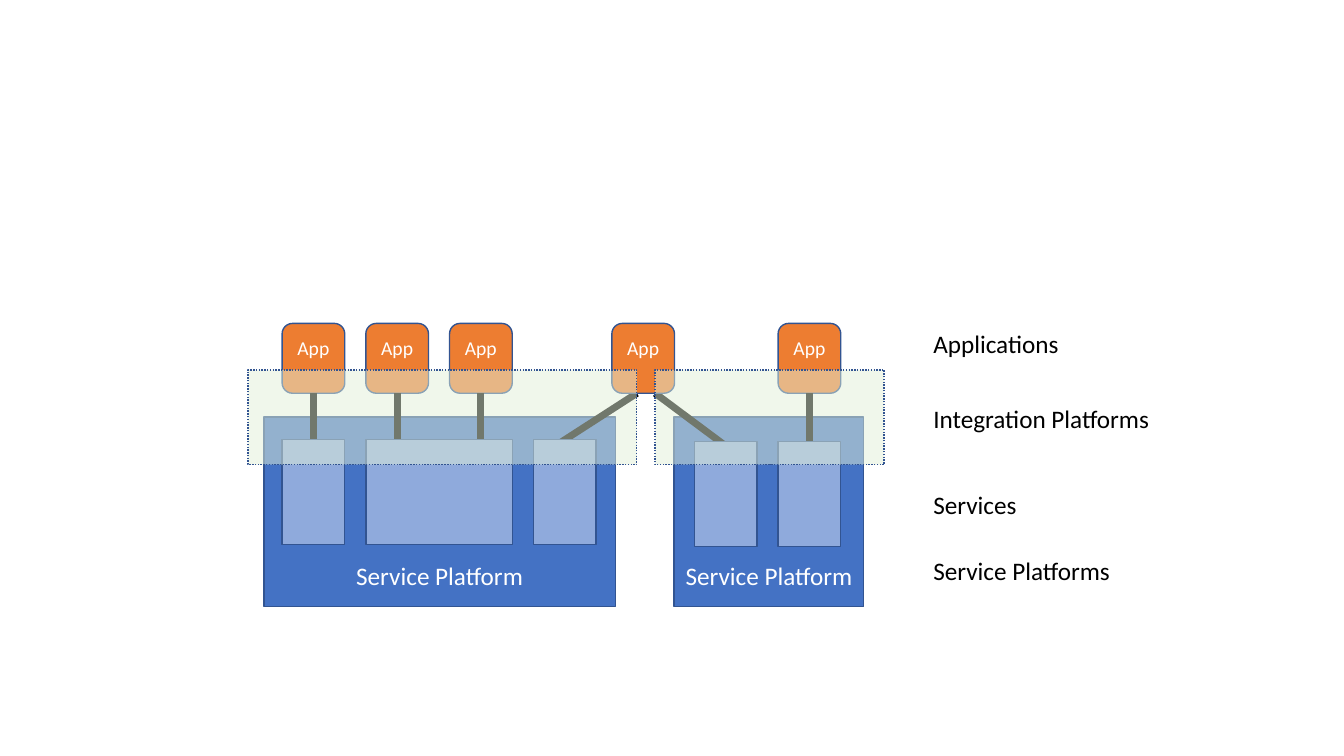
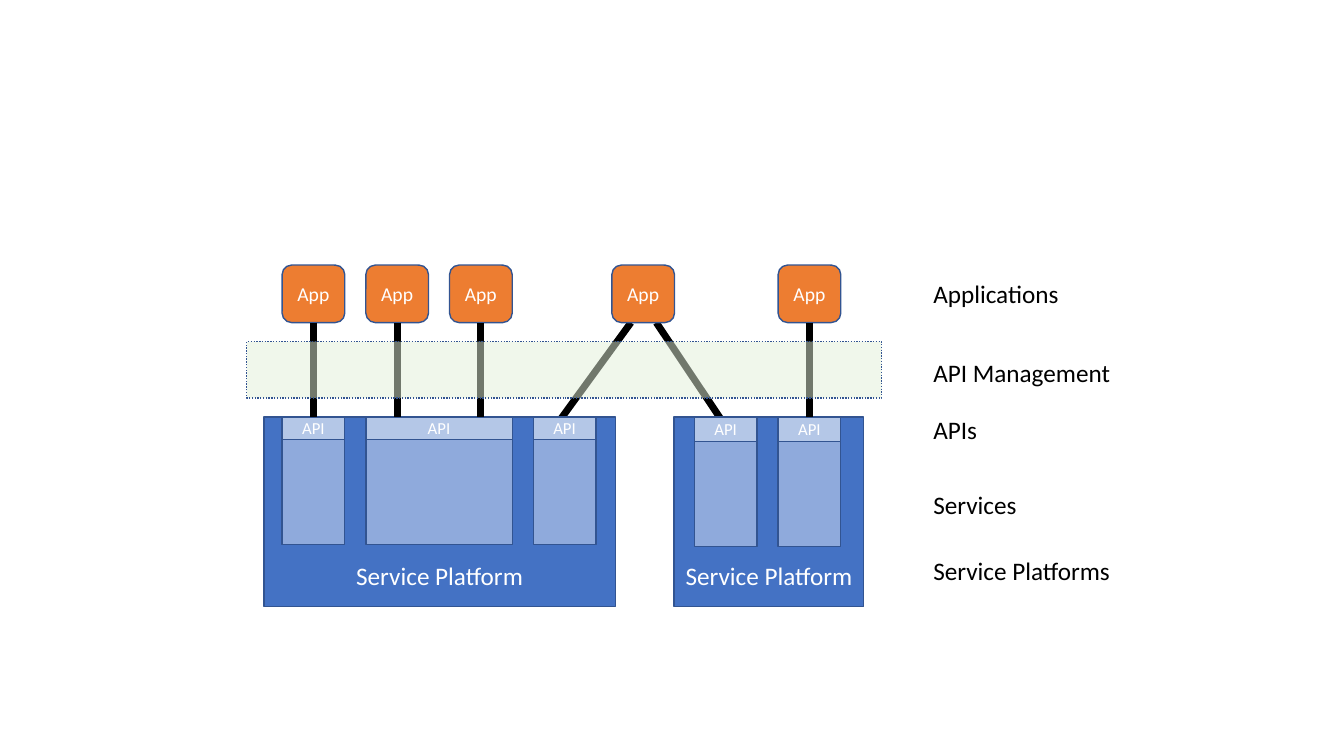
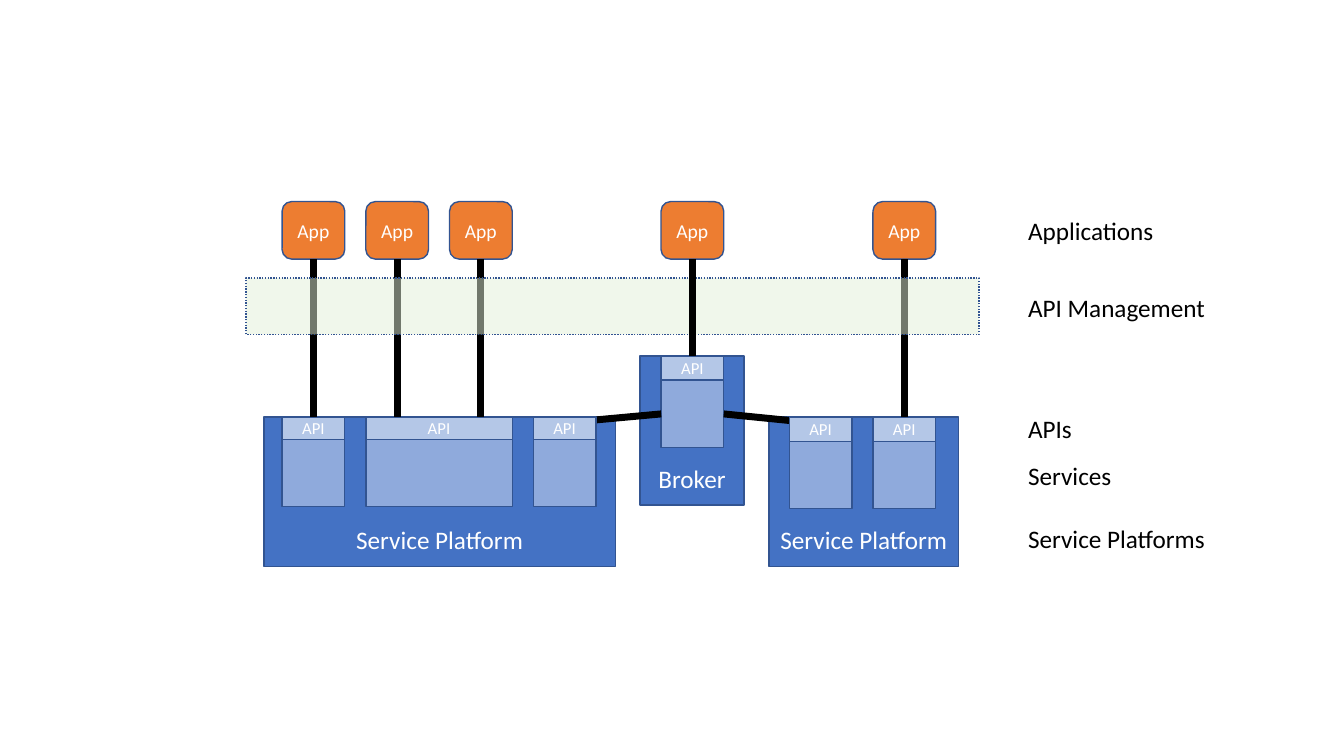
import dataclasses

import lxml.etree
import pptx
import pptx.dml.color
import pptx.enum.dml
import pptx.enum.shapes
import pptx.enum.text
import pptx.oxml.ns
import pptx.util

Cm = pptx.util.Cm
Pt = pptx.util.Pt
SHAPES = pptx.enum.shapes.MSO_SHAPE
ANCHOR = pptx.enum.text.MSO_ANCHOR
ALIGN = pptx.enum.text.PP_ALIGN
qn = pptx.oxml.ns.qn

FONT = "Calibri"
COLOURS = {
    "platform": "4472C4",
    "service": "8FAADC",
    "api": "B4C7E7",
    "app": "ED7D31",
    "band": "E2F0D9",
    "outline": "325491",
    "link": "000000",
    "label": "000000",
    "light": "FFFFFF",
}
TOP, LEFT, BOTTOM, RIGHT = range(4)

# All lengths below are centimetres.
BOX_WIDTH = 1.58
PITCH = 2.11
COLUMNS = [7.11 + PITCH * index for index in range(4)]
WIDE_WIDTH = PITCH + BOX_WIDTH
PLATFORM_TOP = 10.51
LEFT_HEADER, RIGHT_HEADER = 0.56, 0.61
RIGHT_COLUMNS = [17.5, 17.5 + PITCH]
LABEL_X = 23.27
LABEL_WIDTHS = {
    "Applications": 3.71,
    "Integration Platforms": 6.02,
    "API Management": 5.03,
    "APIs": 1.63,
    "Services": 2.64,
    "Service Platforms": 5.03,
}


@dataclasses.dataclass
class Diagram:
    app_top: float
    bands: list
    labels: dict
    shared_starts: tuple = ()
    shared_end_y: float = 10.67
    app_height: float = 1.45
    app_bottom_inset: float = 0
    platform_height: float = 4.78
    caption_inset: float = 0.42
    service_height: float = 2.65
    has_apis: bool = True
    right_shift: float = 0
    has_broker: bool = False


def colour(name):
    return pptx.dml.color.RGBColor.from_string(COLOURS[name])


def write_text(shape, text, *, size, color="light", align=ALIGN.CENTER,
               anchor=ANCHOR.MIDDLE, bottom_inset=0):
    frame = shape.text_frame
    frame.vertical_anchor = anchor
    frame.margin_top = 0
    frame.margin_bottom = Cm(bottom_inset)
    paragraph = frame.paragraphs[0]
    paragraph.alignment = align
    run = paragraph.add_run()
    run.text = text
    run.font.name = FONT
    run.font.size = Pt(size)
    run.font.color.rgb = colour(color)


def add_box(slide, x, y, width, height, fill, kind=SHAPES.RECTANGLE):
    shape = slide.shapes.add_shape(kind, Cm(x), Cm(y), Cm(width), Cm(height))
    shape.shadow.inherit = False
    shape.fill.solid()
    shape.fill.fore_color.rgb = colour(fill)
    shape.line.color.rgb = colour("outline")
    shape.line.width = Pt(1)
    return shape


def add_platform(slide, x, y, width, height, caption, inset):
    platform = add_box(slide, x, y, width, height, "platform")
    write_text(platform, caption, size=18, anchor=ANCHOR.BOTTOM, bottom_inset=inset)


def add_service(slide, diagram, x, header, width=BOX_WIDTH, top=PLATFORM_TOP):
    """Return the service body and the box that links enter from above."""
    body = add_box(slide, x, top + header, width, diagram.service_height, "service")
    if not diagram.has_apis:
        return body, body
    api = add_box(slide, x, top, width, header, "api")
    write_text(api, "API", size=12)
    return body, api


def add_app(slide, diagram, x):
    app = add_box(slide, x, diagram.app_top, BOX_WIDTH, diagram.app_height, "app",
                  SHAPES.ROUNDED_RECTANGLE)
    write_text(app, "App", size=14, bottom_inset=diagram.app_bottom_inset)
    return app


def add_link(slide, start, end):
    """Link two ends, each a (shape, side) pair or an (x, y) point in EMU."""
    connector = slide.shapes.add_connector(
        pptx.enum.shapes.MSO_CONNECTOR.STRAIGHT, 0, 0, 0, 0)
    if isinstance(start[0], int):
        connector.begin_x, connector.begin_y = start
    else:
        connector.begin_connect(*start)
    if isinstance(end[0], int):
        connector.end_x, connector.end_y = end
    else:
        connector.end_connect(*end)
    connector.line.color.rgb = colour("link")
    connector.line.width = Pt(5)
    lxml.etree.SubElement(connector.element.spPr, qn("a:effectLst"))


def add_band(slide, x, y, width, height):
    band = add_box(slide, x, y, width, height, "band")
    band.line.dash_style = pptx.enum.dml.MSO_LINE.ROUND_DOT
    fill_colour = band.element.spPr.find(qn("a:solidFill")).find(qn("a:srgbClr"))
    lxml.etree.SubElement(fill_colour, qn("a:alpha"), val="50000")


def add_label(slide, text, x, y):
    label = slide.shapes.add_textbox(Cm(x), Cm(y), Cm(LABEL_WIDTHS[text]), Cm(1.03))
    label.text_frame.word_wrap = False
    label.text_frame.auto_size = pptx.enum.text.MSO_AUTO_SIZE.SHAPE_TO_FIT_TEXT
    write_text(label, text, size=18, color="label", align=ALIGN.LEFT)


def add_diagram(presentation, diagram):
    slide = presentation.slides.add_slide(presentation.slide_layouts[6])
    shift = diagram.right_shift
    for x, width in ((6.65, 8.86), (16.99 + shift, 4.78)):
        add_platform(slide, x, PLATFORM_TOP, width, diagram.platform_height,
                     "Service Platform", diagram.caption_inset)
    if diagram.has_broker:
        add_platform(slide, 16.13, 8.97, 2.62, diagram.platform_height,
                     "Broker", diagram.caption_inset)
        broker, broker_api = add_service(slide, diagram, 16.66, RIGHT_HEADER, top=8.97)

    first = add_service(slide, diagram, COLUMNS[0], LEFT_HEADER)[1]
    wide = add_service(slide, diagram, COLUMNS[1], LEFT_HEADER, WIDE_WIDTH)[1]
    last = add_service(slide, diagram, RIGHT_COLUMNS[1] + shift, RIGHT_HEADER)[1]
    apps = [add_app(slide, diagram, x)
            for x in (*COLUMNS[:3], RIGHT_COLUMNS[1] + shift)]

    add_link(slide, (apps[0], BOTTOM), (first, TOP))
    for app in apps[1:3]:
        add_link(slide, (app, BOTTOM), (app.left + app.width // 2, wide.top))
    add_link(slide, (apps[3], BOTTOM), (last, TOP))

    if diagram.has_broker:
        shared_starts = [(broker, LEFT), (broker, RIGHT)]
    else:
        app_bottom = diagram.app_top + diagram.app_height
        shared_starts = [(Cm(x), Cm(app_bottom)) for x in diagram.shared_starts]
    for start, end_x in zip(shared_starts, (14.05, 18.24 + shift)):
        add_link(slide, start, (Cm(end_x), Cm(diagram.shared_end_y)))

    # These boxes cover the ends of the slanted links.
    add_service(slide, diagram, COLUMNS[3], LEFT_HEADER)
    add_service(slide, diagram, RIGHT_COLUMNS[0] + shift, RIGHT_HEADER)
    shared_app = add_app(slide, diagram, 16.66 if diagram.has_broker else 15.42)

    for band in diagram.bands:
        add_band(slide, *band)
    if diagram.has_broker:
        add_link(slide, (shared_app, BOTTOM), (broker_api, TOP))
    for text, y in diagram.labels.items():
        add_label(slide, text, LABEL_X + shift, y)


def main():
    presentation = pptx.Presentation()
    presentation.slide_width = Cm(33.87)
    presentation.slide_height = Cm(19.05)

    add_diagram(presentation, Diagram(
        app_top=8.15, app_height=1.76, app_bottom_inset=0.52, has_apis=False,
        shared_starts=(16.05, 16.51), shared_end_y=11.2,
        bands=[(6.25, 9.32, 9.8, 2.39), (16.51, 9.32, 5.77, 2.39)],
        labels={"Applications": 8.15, "Integration Platforms": 10.03,
                "Services": 12.19, "Service Platforms": 13.87}))
    add_diagram(presentation, Diagram(
        app_top=6.68, shared_starts=(15.9, 16.54),
        bands=[(6.22, 8.61, 16, 1.42)],
        labels={"Applications": 6.88, "API Management": 8.86, "APIs": 10.31,
                "Services": 12.19, "Service Platforms": 13.87}))
    add_diagram(presentation, Diagram(
        app_top=5.08, right_shift=2.39, has_broker=True,
        platform_height=3.76, caption_inset=0.29, service_height=1.7,
        bands=[(6.2, 7.01, 18.47, 1.42)],
        labels={"Applications": 5.28, "API Management": 7.24, "APIs": 10.29,
                "Services": 11.46, "Service Platforms": 13.06}))

    presentation.save("out.pptx")


if __name__ == "__main__":
    main()
